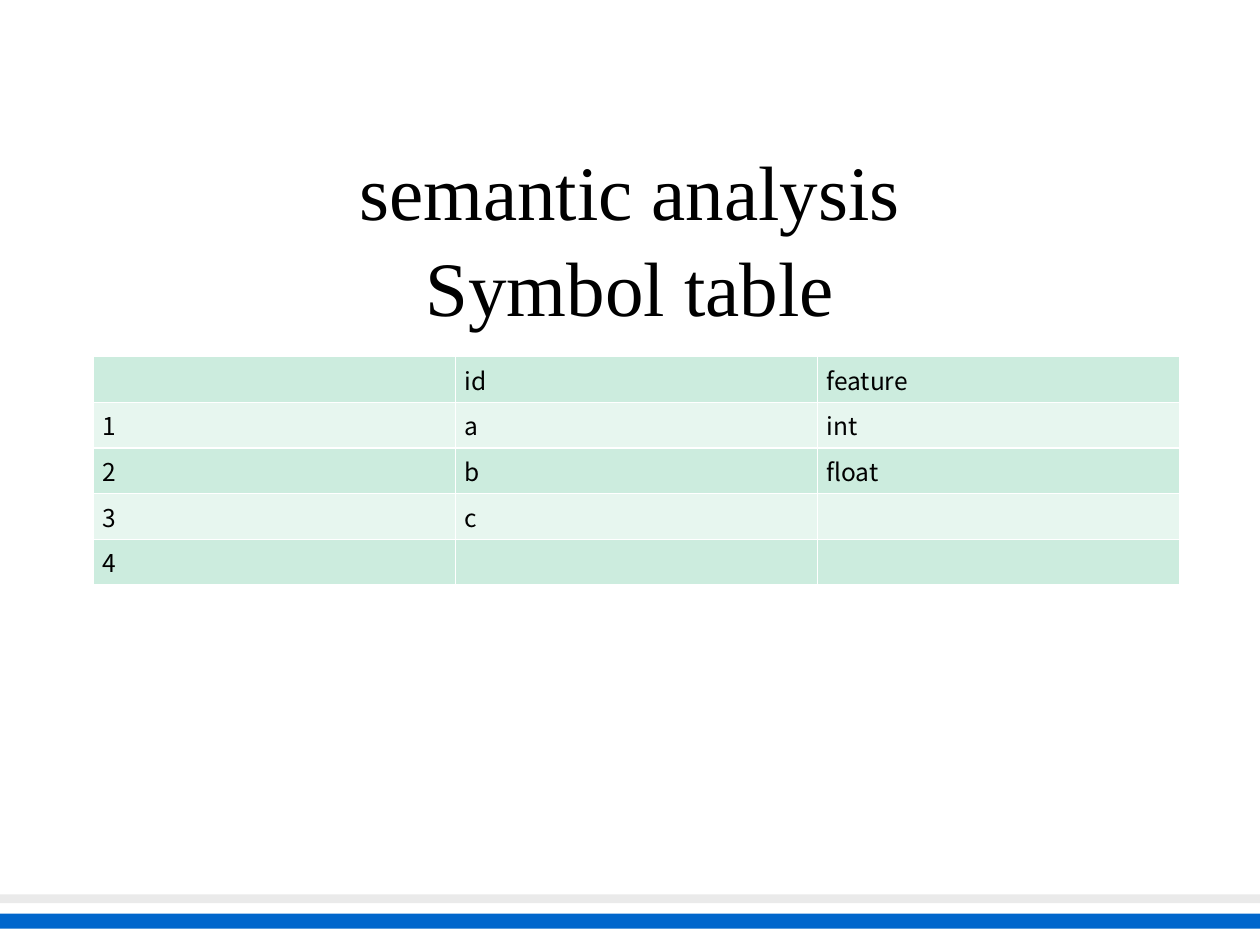
from dataclasses import dataclass

from lxml.etree import SubElement
from pptx import Presentation
from pptx.dml.color import RGBColor as RGB
from pptx.enum.shapes import MSO_SHAPE as Shape
from pptx.enum.text import MSO_ANCHOR as Anchor, MSO_AUTO_SIZE as AutoSize, PP_ALIGN as Align
from pptx.oxml.ns import qn
from pptx.util import Cm, Pt


@dataclass(frozen=True)
class Theme:
    text: RGB = RGB(0x00, 0x00, 0x00)
    blue: RGB = RGB(0x00, 0x66, 0xCC)
    grey: RGB = RGB(0xEA, 0xEA, 0xEA)
    bands: tuple = (RGB(0xCC, 0xEC, 0xDE), RGB(0xE7, 0xF6, 0xEF))
    border: str = "FFFFFF"
    border_width: Pt = Pt(1)
    title_font: str = "Times New Roman"
    title_size: Pt = Pt(44)
    cell_font: str = "Noto Sans CJK KR"
    cell_size: Pt = Pt(14)


@dataclass(frozen=True)
class Bar:
    top: float
    height: float
    color: RGB


THEME = Theme()
WIDTH, HEIGHT = Cm(25.4), Cm(19.05)
BARS = [Bar(18.42, 0.3, THEME.blue), Bar(18.03, 0.18, THEME.grey)]
ROWS = [
    ("", "id", "feature"),
    ("1", "a", "int"),
    ("2", "b", "float"),
    ("3", "c", ""),
    ("4", "", ""),
]
CELL_FORMAT = {
    "margin_left": Cm(0.18), "margin_right": Cm(0.18),
    "margin_top": Cm(0.1), "margin_bottom": Cm(0.1),
    "vertical_anchor": Anchor.TOP,
}


def set_all(obj, values: dict) -> None:
    for name, value in values.items():
        setattr(obj, name, value)


def style_font(font, name: str, size: Pt) -> None:
    set_all(font, {"name": name, "size": size})
    font.color.rgb = THEME.text


def add_bar(s, bar: Bar) -> None:
    sp = s.shapes.add_shape(Shape.RECTANGLE, 0, Cm(bar.top), WIDTH, Cm(bar.height))
    sp.shadow.inherit = False
    sp.fill.solid()
    sp.fill.fore_color.rgb = bar.color
    sp.line.fill.background()


def add_title(s, text: str) -> None:
    sp = s.shapes.title
    set_all(sp, {"left": Cm(1.75), "top": Cm(3.15), "width": Cm(21.9), "height": Cm(3.2)})
    tf = sp.text_frame
    tf.text = text
    set_all(tf, {"word_wrap": True, "auto_size": AutoSize.NONE, "vertical_anchor": Anchor.MIDDLE})
    p = tf.paragraphs[0]
    set_all(p, {"alignment": Align.CENTER, "line_spacing": 1.04})
    for r in p.runs:
        style_font(r.font, THEME.title_font, THEME.title_size)


def add_borders(cell) -> None:
    tc_pr = cell._tc.get_or_add_tcPr()
    for i, side in enumerate(("lnL", "lnR", "lnT", "lnB")):
        ln = tc_pr.makeelement(qn(f"a:{side}"), {"w": str(THEME.border_width)})
        fill = SubElement(ln, qn("a:solidFill"))
        SubElement(fill, qn("a:srgbClr"), val=THEME.border)
        tc_pr.insert(i, ln)


def fill_cell(cell, text: str, color: RGB) -> None:
    set_all(cell, CELL_FORMAT)
    cell.fill.solid()
    cell.fill.fore_color.rgb = color
    add_borders(cell)
    p = cell.text_frame.paragraphs[0]
    if text:
        r = p.add_run()
        r.text = text
        style_font(r.font, THEME.cell_font, THEME.cell_size)
    else:
        # Empty cells keep the text size so that rows stay equal
        size = str(int(THEME.cell_size.pt * 100))
        SubElement(p._p, qn("a:endParaRPr"), sz=size)


def add_symbol_table(s, rows: list[tuple[str, ...]]) -> None:
    frame = s.shapes.add_table(len(rows), len(rows[0]), Cm(1.88), Cm(7.19),
                               Cm(21.9), Cm(0.78) * len(rows))
    for i, row in enumerate(rows):
        for j, text in enumerate(row):
            fill_cell(frame.table.cell(i, j), text, THEME.bands[i % 2])


def main() -> None:
    prs = Presentation()
    set_all(prs, {"slide_width": WIDTH, "slide_height": HEIGHT})
    s = prs.slides.add_slide(prs.slide_layouts[5])

    # Footer bars
    for bar in BARS:
        add_bar(s, bar)

    # Title and symbol table
    add_title(s, "semantic analysis\vSymbol table")
    add_symbol_table(s, ROWS)
    prs.save("out.pptx")


if __name__ == "__main__":
    main()
